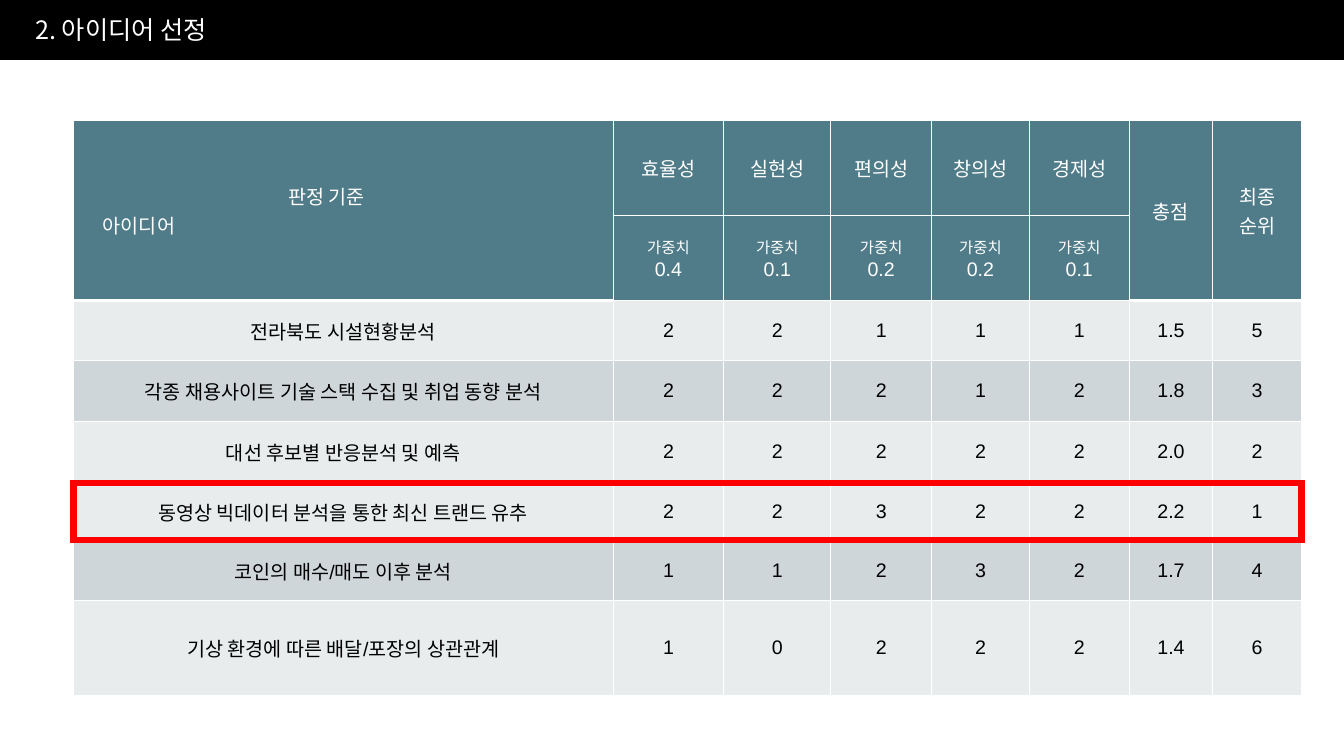
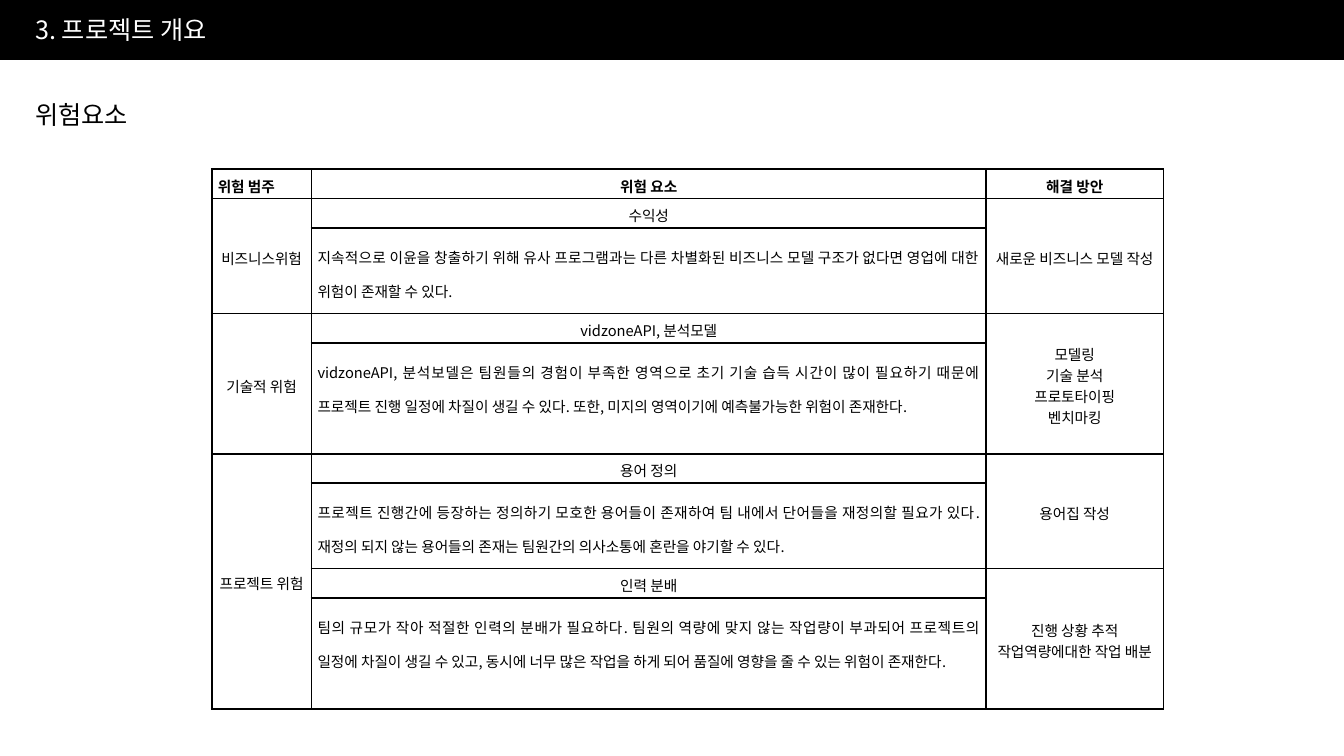
import pptx
import pptx.util
import pptx.dml.color
import pptx.enum.text
import pptx.enum.shapes
import pptx.oxml.ns
import lxml.etree

Inch, Pt = pptx.util.Inches, pptx.util.Pt
Al = pptx.enum.text.PP_ALIGN
Mid = pptx.enum.text.MSO_ANCHOR.MIDDLE
Top = pptx.enum.text.MSO_ANCHOR.TOP
qn = pptx.oxml.ns.qn

W, H, BAND = 13.33, 7.5, 0.6
SANS, LATIN = "Noto Sans CJK KR", "Arial"
BLACK, WHITE, RED = "000000", "FFFFFF", "FF0000"
TEAL, PALE, GREY = "507C89", "E8ECED", "CFD6D9"

WEIGHTS = [("효율성", 0.4), ("실현성", 0.1), ("편의성", 0.2),
           ("창의성", 0.2), ("경제성", 0.1)]
IDEAS = [
    ("전라북도 시설현황분석", 2, 2, 1, 1, 1, 1.5, 5),
    ("각종 채용사이트 기술 스택 수집 및 취업 동향 분석", 2, 2, 2, 1, 2, 1.8, 3),
    ("대선 후보별 반응분석 및 예측", 2, 2, 2, 2, 2, 2.0, 2),
    ("동영상 빅데이터 분석을 통한 최신 트랜드 유추", 2, 2, 3, 2, 2, 2.2, 1),
    ("코인의 매수/매도 이후 분석", 1, 1, 2, 3, 2, 1.7, 4),
    ("기상 환경에 따른 배달/포장의 상관관계", 1, 0, 2, 2, 2, 1.4, 6),
]
FILLS = [TEAL, TEAL, PALE, GREY, PALE, PALE, GREY, PALE]
SCORES = [
    ["판정 기준\n아이디어", *[name for name, _ in WEIGHTS], "총점", "최종\n순위"],
    [None, *[f"가중치\n{share}" for _, share in WEIGHTS], None, None],
    *IDEAS,
]
SCORE_COLS = [5.35, 1.1, 1.06, 1, 0.97, 0.99, 0.83, 0.88]
SCORE_ROWS = [0.94, 0.84, 0.6, 0.6, 0.6, 0.59, 0.59, 0.94]
SCORE_X, SCORE_Y, BEST = 0.73, 1.2, 5

RISKS = [
    ["위험 범주", "위험 요소", "해결 방안"],
    ["비즈니스위험", "수익성", "새로운 비즈니스 모델 작성"],
    [None, "지속적으로 이윤을 창출하기 위해 유사 프로그램과는 다른 차별화된 비즈니스 모델 "
           "구조가 없다면 영업에 대한 위험이 존재할 수 있다.", None],
    ["기술적 위험", "vidzoneAPI, 분석모델", "모델링\n기술 분석\n프로토타이핑\n벤치마킹"],
    [None, "vidzoneAPI, 분석보델은 팀원들의 경험이 부족한 영역으로 초기 기술 습득 시간이 많이 "
           "필요하기 때문에 프로젝트 진행 일정에 차질이 생길 수 있다. 또한, 미지의 "
           "영역이기에 예측불가능한 위험이 존재한다.", None],
    ["프로젝트 위험", "용어 정의", "용어집 작성"],
    [None, "프로젝트 진행간에 등장하는 정의하기 모호한 용어들이 존재하여 팀 내에서 단어들을 "
           "재정의할 필요가 있다. 재정의 되지 않는 용어들의 존재는 팀원간의 의사소통에 "
           "혼란을 야기할 수 있다.", None],
    [None, "인력 분배", "진행 상황 추적\n작업역량에대한 작업 배분"],
    [None, "팀의 규모가 작아 적절한 인력의 분배가 필요하다. 팀원의 역량에 맞지 않는 작업량이 "
           "부과되어 프로젝트의 일정에 차질이 생길 수 있고, 동시에 너무 많은 작업을 하게 "
           "되어 품질에 영향을 줄 수 있는 위험이 존재한다.", None],
]
RISK_COLS = [0.99, 6.69, 1.76]
RISK_ROWS = [0.29, 0.29, 0.85, 0.29, 1.1, 0.29, 0.85, 0.29, 1.1]


def rgb(code):
    return pptx.dml.color.RGBColor.from_string(code)


def style(para, size, color, face=SANS, align=Al.LEFT, bold=False, lead=None, left=0):
    para.alignment = align
    if lead:
        para.line_spacing = lead
    if left:
        para._p.get_or_add_pPr().set("marL", str(Inch(left)))
    font = para.font
    font.size, font.bold, font.name = Pt(size), bold, face
    font.color.rgb = rgb(color)
    font._element.set("kern", "0")
    lxml.etree.SubElement(font._element, qn("a:ea"), typeface=SANS)


def box(slide, x, y, w, h, fill, line, width):
    shape = slide.shapes.add_shape(
        pptx.enum.shapes.MSO_SHAPE.RECTANGLE, Inch(x), Inch(y), Inch(w), Inch(h))
    shape.shadow.inherit = False
    if fill:
        shape.fill.solid()
        shape.fill.fore_color.rgb = rgb(fill)
    else:
        shape.fill.background()
    shape.line.color.rgb = rgb(line)
    shape.line.width = Pt(width)
    lxml.etree.SubElement(shape.line._get_or_add_ln(), qn("a:miter"), lim="800000")


def head(shape, x, y, w, text, color):
    shape.left, shape.top, shape.width, shape.height = map(Inch, (x, y, w, 0.4))
    frame = shape.text_frame
    frame.word_wrap = True
    frame.vertical_anchor = Mid
    frame.text = text
    style(frame.paragraphs[0], 18, color)


def page(deck, title):
    slide = deck.slides.add_slide(deck.slide_layouts[5])
    box(slide, 0, BAND, W, H - BAND, WHITE, WHITE, 1)
    head(slide.shapes.title, 0.25, 0.09, 12, title, WHITE)
    return slide


def edge(cell, side, color, width):
    line = lxml.etree.SubElement(
        cell._tc.get_or_add_tcPr(), qn("a:ln" + side), w=str(Pt(width)))
    fill = lxml.etree.SubElement(line, qn("a:solidFill"))
    lxml.etree.SubElement(fill, qn("a:srgbClr"), val=color)


def grid(slide, x, y, cols, rows, data, pads, look, text):
    table = slide.shapes.add_table(
        len(rows), len(cols), Inch(x), Inch(y), Inch(sum(cols)), Inch(sum(rows))).table
    table.first_row = table.horz_banding = False
    for col, size in zip(table.columns, cols):
        col.width = Inch(size)
    for row, size in zip(table.rows, rows):
        row.height = Inch(size)
    side_pad, top_pad, base_pad = map(Inch, pads)
    for r, line in enumerate(data):
        for c, value in enumerate(line):
            cell = table.cell(r, c)
            fill, color, widths, cell.vertical_anchor = look(r, c)
            for side, width in zip("LRTB", widths):
                edge(cell, side, color, width)
            cell.fill.solid()
            cell.fill.fore_color.rgb = rgb(fill)
            cell.margin_left = cell.margin_right = side_pad
            cell.margin_top, cell.margin_bottom = top_pad, base_pad
            if value is None:
                continue
            cell.text = str(value)
            for i, para in enumerate(cell.text_frame.paragraphs):
                style(para, **text(r, c, i))
            end = r
            while end + 1 < len(data) and data[end + 1][c] is None:
                end += 1
            if end > r:
                cell.merge(table.cell(end, c))


def score_look(r, c):
    tall = c in (0, 6, 7)
    top = 2.4 if tall and r == 2 else 0.8
    base = 2.4 if tall and r < 2 else 0.8
    return FILLS[r], WHITE, (0.8, 0.8, top, base), Mid


def score_text(r, c, i):
    corner = r == c == 0
    return dict(size=11 if r == 1 and i == 0 else 14, face=LATIN,
                color=WHITE if r < 2 else BLACK,
                align=Al.LEFT if corner else Al.CENTER,
                left=(2.06, 0.22)[i] if corner else 0)


def risk_look(r, c):
    return WHITE, BLACK, (1.41,) * 4, Top if r == 0 or c == 1 else Mid


def risk_text(r, c, i):
    body = c == 1 and r > 0 and r % 2 == 0
    return dict(size=10.5, color=BLACK, bold=r == 0, lead=1.6 if body else None,
                align=Al.JUSTIFY if body or r == c == 0 else Al.CENTER)


def main():
    deck = pptx.Presentation()
    deck.slide_width, deck.slide_height = Inch(W), Inch(H)
    back = deck.slide_master.background.fill
    back.solid()
    back.fore_color.rgb = rgb(BLACK)

    slide = page(deck, "2. 아이디어 선정")
    grid(slide, SCORE_X, SCORE_Y, SCORE_COLS, SCORE_ROWS, SCORES,
         (0.07, 0.03, 0.03), score_look, score_text)
    box(slide, SCORE_X, SCORE_Y + sum(SCORE_ROWS[:BEST]) + 0.01, sum(SCORE_COLS), 0.57,
        None, RED, 4.5)

    slide = page(deck, "3. 프로젝트 개요")
    grid(slide, 2.1, 1.68, RISK_COLS, RISK_ROWS, RISKS,
         (0.06, 0.06, 0.02), risk_look, risk_text)
    note = slide.shapes.add_textbox(0, 0, 0, 0)
    head(note, 0.25, 0.94, 3.69, "위험요소", BLACK)

    deck.save("out.pptx")


if __name__ == "__main__":
    main()
